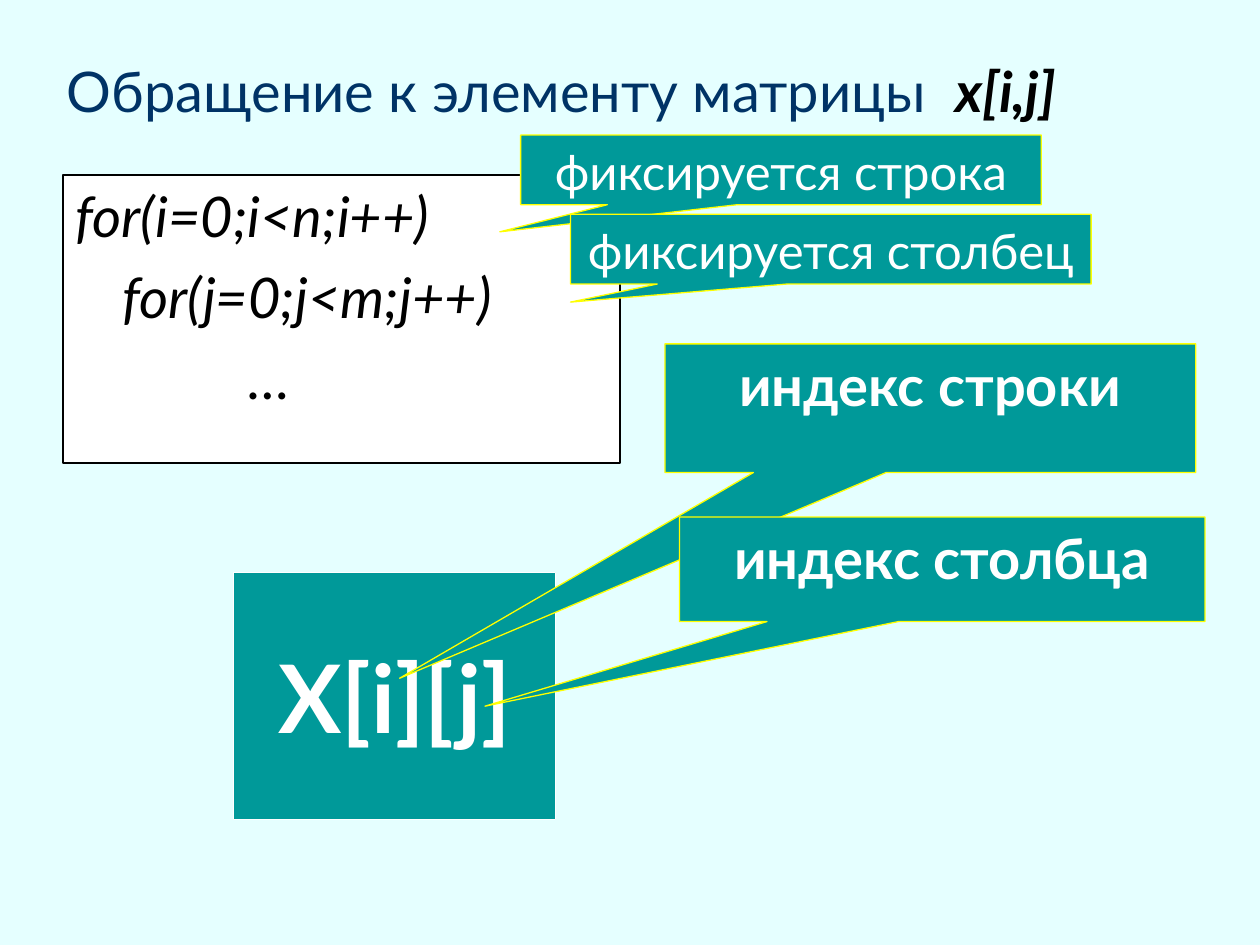
from pptx import Presentation
from pptx.dml.color import RGBColor
from pptx.enum.shapes import MSO_SHAPE as Shape
from pptx.enum.text import MSO_ANCHOR as Anchor, MSO_AUTO_SIZE as Fit, PP_ALIGN as Align
from pptx.util import Pt

FACE = "Lato"
TEAL, WHITE, BLACK, NAVY, YELLOW = "009999", "FFFFFF", "000000", "003366", "FFFF00"


def paint(fill, hue):
    fill.solid()
    fill.fore_color.rgb = RGBColor.from_string(hue)


def style(run, size, hue, bold=False, italic=False):
    font = run.font
    font.name, font.size = FACE, Pt(size)
    font.bold, font.italic = bold, italic
    paint(font.fill, hue)


def add_box(slide, kind, area, fill, line):
    box = slide.shapes.add_shape(kind, *map(Pt, area))
    box.shadow.inherit = False
    paint(box.fill, fill)
    paint(box.line.fill, line)
    box.line.width = Pt(0.75)
    box.text_frame.word_wrap = True
    box.text_frame.vertical_anchor = Anchor.TOP
    return box


def add_title(slide, parts):
    title = slide.shapes.title
    title.left, title.top, title.width, title.height = map(Pt, (31, 20, 648, 63))
    frame = title.text_frame
    frame.auto_size = Fit.NONE
    frame.vertical_anchor = Anchor.MIDDLE
    para = frame.paragraphs[0]
    para.alignment = Align.LEFT
    for text, hue, strong in parts:
        run = para.add_run()
        run.text = text
        style(run, 32, hue, strong, strong)


def add_code(slide, area, lines):
    """Add one paragraph per (left indent, text) pair."""
    frame = add_box(slide, Shape.RECTANGLE, area, WHITE, BLACK).text_frame
    frame.text = "\n".join(text for _, text in lines)
    for row, (para, (indent, _)) in enumerate(zip(frame.paragraphs, lines)):
        para.alignment = Align.LEFT
        para._p.get_or_add_pPr().set("marL", str(Pt(indent)))
        if row:
            para.space_before = Pt(8)
        style(para.runs[0], 32, BLACK, italic=True)


def add_label(box, text, size, bold):
    para = box.text_frame.paragraphs[0]
    para.text = text
    para.alignment = Align.CENTER
    style(para.runs[0], size, WHITE, bold)


def add_term(slide, area, text):
    box = add_box(slide, Shape.RECTANGLE, area, TEAL, WHITE)
    box.text_frame.word_wrap = False
    box.text_frame.vertical_anchor = Anchor.MIDDLE
    add_label(box, text, 54, True)


def add_note(slide, area, tip, text, size, bold):
    """Add a callout; tip is its point, as shares of the size from the centre."""
    box = add_box(slide, Shape.RECTANGULAR_CALLOUT, area, TEAL, YELLOW)
    box.adjustments[0], box.adjustments[1] = tip
    add_label(box, text, size, bold)


def main():
    deck = Presentation()
    deck.slide_width, deck.slide_height = Pt(720), Pt(540)
    slide = deck.slides.add_slide(deck.slide_layouts[5])
    paint(slide.background.fill, "E5FFFF")

    add_title(slide, [("Обращение к элементу матрицы  ", NAVY, False),
                      ("x[i,j]", BLACK, True)])
    add_code(slide, (36, 100, 318.3, 164.6),
             [(0, "for(i=0;i<n;i++)"), (27, "for(j=0;j<m;j++)"), (99, "…")])
    add_term(slide, (133.5, 327, 184, 141.5), "X[i][j]")

    notes = [
        ((380, 196.5, 303.3, 73.5), (-1, 2.1), "индекс строки", 32, True),
        ((388.3, 295.5, 300.3, 59.7), (-0.87, 1.31), "индекс столбца", 32, True),
        ((297.5, 77.2, 297.5, 39.8), (-0.54, 0.89), "фиксируется строка", 28, False),
        ((326, 122.5, 297.5, 39.8), (-0.5, 0.76), "фиксируется столбец", 28, False),
    ]
    for note in notes:
        add_note(slide, *note)

    deck.save("out.pptx")


if __name__ == "__main__":
    main()
